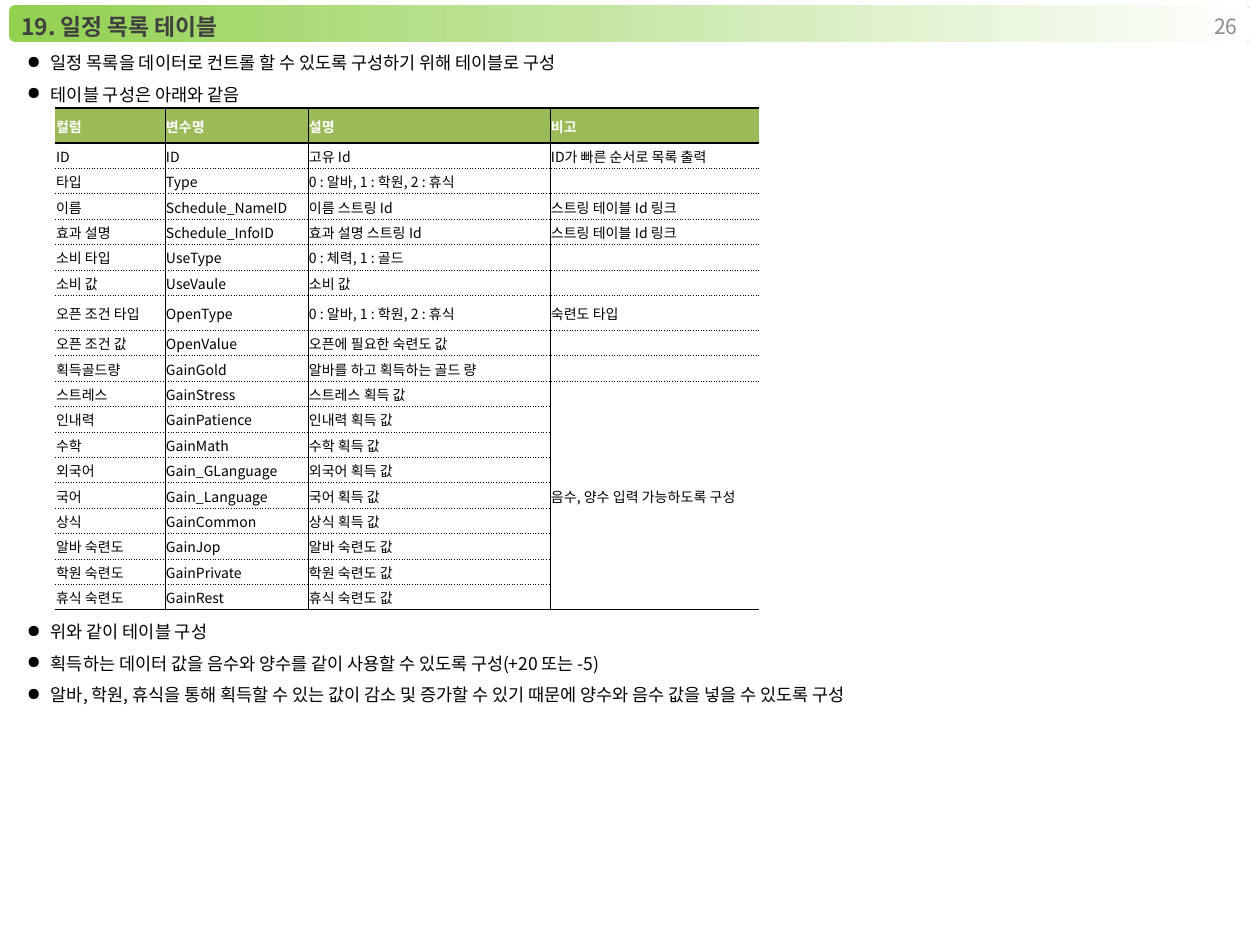
from dataclasses import dataclass

from lxml import etree
from pptx import Presentation
from pptx.dml.color import RGBColor
from pptx.enum.shapes import MSO_SHAPE
from pptx.enum.text import MSO_ANCHOR, MSO_AUTO_SIZE, PP_ALIGN
from pptx.oxml.ns import qn
from pptx.util import Pt

ROUNDED = MSO_SHAPE.ROUNDED_RECTANGLE
MIDDLE = MSO_ANCHOR.MIDDLE
LEFT, RIGHT = PP_ALIGN.LEFT, PP_ALIGN.RIGHT
NO_FIT, GROW = MSO_AUTO_SIZE.NONE, MSO_AUTO_SIZE.SHAPE_TO_FIT_TEXT
TITLE_ONLY = 5


@dataclass(frozen=True)
class Theme:
    font: str = "Noto Sans CJK KR"
    ink: str = "000000"
    paper: str = "FFFFFF"
    title: str = "404040"
    number: str = "8C8C8C"
    bar: str = "92D050"
    header: str = "9BBB59"
    title_size: int = 13
    number_size: int = 12
    body_size: int = 10
    cell_size: int = 8


THEME = Theme()

# Border as (width in points, dash)
DOTTED = (0.5, "dot")
THIN = (0.5, "solid")
HEAVY = (1, "solid")

TITLE = "19. 일정 목록 테이블"
INTRO = [
    "일정 목록을 데이터로 컨트롤 할 수 있도록 구성하기 위해 테이블로 구성",
    "테이블 구성은 아래와 같음",
]
NOTES = [
    "위와 같이 테이블 구성",
    "획득하는 데이터 값을 음수와 양수를 같이 사용할 수 있도록 구성(+20 또는 -5)",
    "알바, 학원, 휴식을 통해 획득할 수 있는 값이 감소 및 증가할 수 있기 때문에 "
    "양수와 음수 값을 넣을 수 있도록 구성",
]
TABLE_GAP = Pt(289)

KINDS = "0 : 알바, 1 : 학원, 2 : 휴식"
STRING_LINK = "스트링 테이블 Id 링크"
ROWS = [
    ("컬럼", "변수명", "설명", "비고"),
    ("ID", "ID", "고유 Id", "ID가 빠른 순서로 목록 출력"),
    ("타입", "Type", KINDS, ""),
    ("이름", "Schedule_NameID", "이름 스트링 Id", STRING_LINK),
    ("효과 설명", "Schedule_InfoID", "효과 설명 스트링 Id", STRING_LINK),
    ("소비 타입", "UseType", "0 : 체력, 1 : 골드", ""),
    ("소비 값", "UseVaule", "소비 값", ""),
    ("오픈 조건 타입", "OpenType", KINDS, "숙련도 타입"),
    ("오픈 조건 값", "OpenValue", "오픈에 필요한 숙련도 값", ""),
    ("획득골드량", "GainGold", "알바를 하고 획득하는 골드 량", ""),
    ("스트레스", "GainStress", "스트레스 획득 값", "음수, 양수 입력 가능하도록 구성"),
    ("인내력", "GainPatience", "인내력 획득 값", ""),
    ("수학", "GainMath", "수학 획득 값", ""),
    ("외국어", "Gain_GLanguage", "외국어 획득 값", ""),
    ("국어", "Gain_Language", "국어 획득 값", ""),
    ("상식", "GainCommon", "상식 획득 값", ""),
    ("알바 숙련도", "GainJop", "알바 숙련도 값", ""),
    ("학원 숙련도", "GainPrivate", "학원 숙련도 값", ""),
    ("휴식 숙련도", "GainRest", "휴식 숙련도 값", ""),
]
LAST_ROW, LAST_COL = len(ROWS) - 1, len(ROWS[0]) - 1
MERGE_START = 10
COL_WIDTHS = (110, 143, 242, 209)
TALL_ROWS = (0, 7)
TALL_HEIGHT = 35
TABLE_HEIGHT = 502


def px(n):
    return round(n * 914400 / 126)


def box(*lengths):
    return [px(n) for n in lengths]


def style(p, size, color, bold=False):
    for r in p.runs:
        r.font.size = Pt(size)
        r.font.bold = bold
        r.font.name = THEME.font
        r.font.color.rgb = RGBColor.from_string(color)
        etree.SubElement(r.font._element, qn("a:ea"), typeface=THEME.font)


def add_title(slide):
    bar_box = box(9, 5, 1241, 37)
    bar = slide.shapes.add_shape(ROUNDED, *bar_box)
    bar.shadow.inherit = False
    bar.line.fill.background()
    bar.fill.gradient()
    bar.fill.gradient_angle = 0
    for stop, color in zip(bar.fill.gradient_stops, (THEME.bar, THEME.paper)):
        stop.color.rgb = RGBColor.from_string(color)

    title = slide.shapes.title
    title._element.addprevious(bar._element)
    title.left, title.top, title.width, title.height = bar_box
    tf = title.text_frame
    tf.text = TITLE
    tf.auto_size = NO_FIT
    tf.vertical_anchor = MIDDLE
    p = tf.paragraphs[0]
    p.alignment = LEFT
    p.line_spacing = 1.2
    style(p, THEME.title_size, THEME.title, bold=True)


def add_page_number(slide, number):
    tf = slide.shapes.add_textbox(*box(956, 1, 294, 50)).text_frame
    tf.word_wrap = True
    tf.vertical_anchor = MIDDLE
    tf.text = number
    p = tf.paragraphs[0]
    p.alignment = RIGHT
    style(p, THEME.number_size, THEME.number)


def add_bullets(slide):
    """One list that leaves room for the table between its two parts."""
    tf = slide.shapes.add_textbox(*box(9, 42, 1157, 678)).text_frame
    tf.word_wrap = True
    tf.auto_size = GROW
    tf.margin_left, tf.margin_top, tf.margin_right, tf.margin_bottom = box(18, 0, 18, 10)
    tf.text = "\n".join(INTRO + NOTES)
    for i, p in enumerate(tf.paragraphs):
        p.line_spacing = 1.5
        if i == len(INTRO):
            p.space_before = TABLE_GAP
        pPr = p._p.get_or_add_pPr()
        pPr.set("marL", str(px(24)))
        pPr.set("indent", str(px(-24)))
        etree.SubElement(pPr, qn("a:buChar"), char="●")
        style(p, THEME.body_size, THEME.ink)


def set_border(cell, side, border):
    tcPr = cell._tc.get_or_add_tcPr()
    if border is None:
        ln = etree.SubElement(tcPr, qn(f"a:ln{side}"), w="0")
        etree.SubElement(ln, qn("a:noFill"))
        return
    width, dash = border
    ln = etree.SubElement(tcPr, qn(f"a:ln{side}"), w=str(Pt(width)))
    fill = etree.SubElement(ln, qn("a:solidFill"))
    etree.SubElement(fill, qn("a:srgbClr"), val=THEME.ink)
    etree.SubElement(ln, qn("a:prstDash"), val=dash)


def cell_borders(cell, row, col):
    top = HEAVY if row <= 1 else DOTTED
    bottom = HEAVY if row in (0, LAST_ROW) or cell.is_merge_origin else DOTTED
    if cell.is_spanned:
        top, bottom = None, HEAVY if row == LAST_ROW else None
    return {"L": THIN if col else None, "R": THIN if col < LAST_COL else None,
            "T": top, "B": bottom}


def format_cell(cell, row, col):
    cell.margin_left, cell.margin_top, cell.margin_right, cell.margin_bottom = box(1, 1, 1, 0)
    cell.vertical_anchor = MIDDLE
    for side, border in cell_borders(cell, row, col).items():
        set_border(cell, side, border)
    header = row == 0
    cell.fill.solid()
    cell.fill.fore_color.rgb = RGBColor.from_string(THEME.header if header else THEME.paper)
    cell.text = ROWS[row][col]
    p = cell.text_frame.paragraphs[0]
    style(p, THEME.cell_size, THEME.paper if header else THEME.ink, bold=header)
    p._p.get_or_add_endParaRPr().sz = THEME.cell_size * 100


def add_schedule_table(slide):
    frame = slide.shapes.add_table(len(ROWS), len(COL_WIDTHS),
                                   *box(55, 108, sum(COL_WIDTHS), TABLE_HEIGHT))
    table = frame.table
    table.horz_banding = False
    for column, width in zip(table.columns, COL_WIDTHS):
        column.width = px(width)
    row_height = (TABLE_HEIGHT - TALL_HEIGHT * len(TALL_ROWS)) / (len(ROWS) - len(TALL_ROWS))
    for i, row in enumerate(table.rows):
        row.height = px(TALL_HEIGHT if i in TALL_ROWS else row_height)
    table.cell(MERGE_START, LAST_COL).merge(table.cell(LAST_ROW, LAST_COL))
    for row in range(len(ROWS)):
        for col in range(len(COL_WIDTHS)):
            format_cell(table.cell(row, col), row, col)


def main():
    prs = Presentation()
    prs.slide_width, prs.slide_height = box(1260, 945)
    slide = prs.slides.add_slide(prs.slide_layouts[TITLE_ONLY])
    add_title(slide)
    add_page_number(slide, "26")
    add_bullets(slide)
    add_schedule_table(slide)
    prs.save("out.pptx")


if __name__ == "__main__":
    main()
